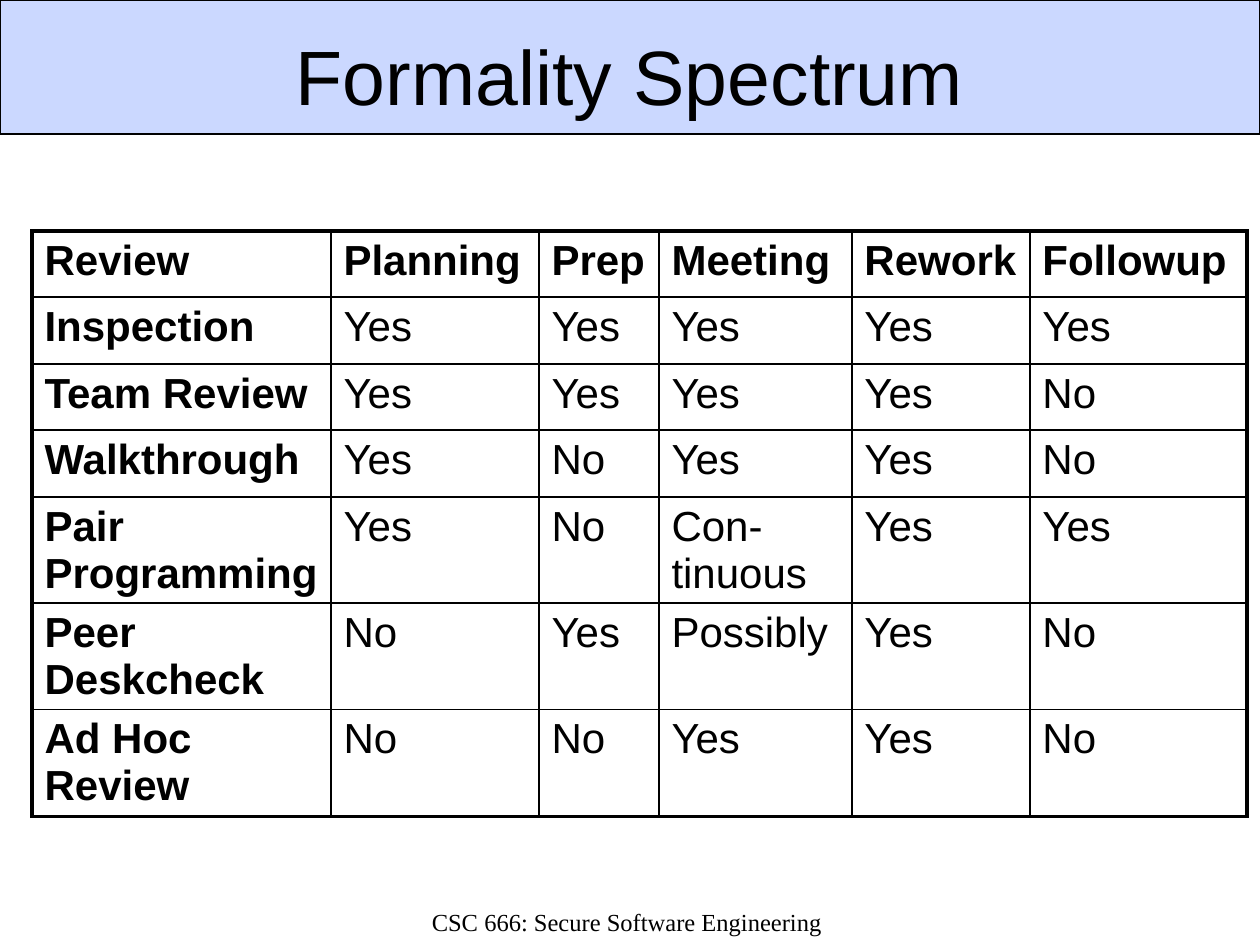
"""Builds the Formality Spectrum slide, a table comparing kinds of code review."""
from lxml.etree import SubElement
from pptx import Presentation
from pptx.dml.color import RGBColor
from pptx.enum.shapes import MSO_SHAPE as Preset
from pptx.enum.text import MSO_ANCHOR as Anchor, PP_ALIGN as Align
from pptx.oxml.ns import qn
from pptx.util import Emu, Inches, Pt

COLORS = {"ink": "000000", "band": "3366FF"}
PX = Inches(1) // 126


class Deck:
    """Holds the style and the current slide."""

    def __init__(self):
        self.show = Presentation()
        self.show.slide_width, self.show.slide_height = Inches(10), Inches(7.5)
        self.slide = self.show.slides.add_slide(self.show.slide_layouts[5])

    def box(self, *lengths):
        return [Emu(length * PX) for length in lengths]

    def style(self, paragraph, size, face="Arial", bold=False, align=Align.LEFT):
        paragraph.alignment = align
        font = paragraph.font
        font.name, font.size, font.bold = face, Pt(size), bold
        font.color.rgb = RGBColor.from_string(COLORS["ink"])

    def band(self, at, opacity):
        band = self.slide.shapes.add_shape(Preset.RECTANGLE, *self.box(*at))
        band.shadow.inherit = False
        band.fill.solid()
        band.fill.fore_color.rgb = RGBColor.from_string(COLORS["band"])
        tint = band.fill._xPr.find(qn("a:solidFill"))[0]
        SubElement(tint, qn("a:alpha"), val=str(opacity * 1000))
        band.line.color.rgb = RGBColor.from_string(COLORS["ink"])
        band.line.width = Pt(0.75)
        self.slide.shapes._spTree.insert(2, band._element)

    def title(self, at, words):
        title = self.slide.shapes.title
        title.left, title.top, title.width, title.height = self.box(*at)
        title.text_frame.text = words
        title.text_frame.vertical_anchor = Anchor.MIDDLE
        self.style(title.text_frame.paragraphs[0], 44, align=Align.CENTER)

    def footer(self, at, words):
        frame = self.slide.shapes.add_textbox(*self.box(*at)).text_frame
        frame.word_wrap = True
        frame.text = words
        self.style(frame.paragraphs[0], 14, "Times New Roman", align=Align.CENTER)

    def border(self, cell, side, width):
        line = SubElement(cell._tc.get_or_add_tcPr(), qn(f"a:ln{side}"), w=str(Pt(width)))
        SubElement(SubElement(line, qn("a:solidFill")), qn("a:srgbClr"), val=COLORS["ink"])

    def table(self, left, top, widths, heights, rows):
        at = self.box(left, top, sum(widths), sum(heights))
        grid = self.slide.shapes.add_table(len(rows), len(widths), *at).table
        grid.first_row = grid.horz_banding = False
        for column, width in zip(grid.columns, widths):
            column.width = Emu(width * PX)
        for row, height in zip(grid.rows, heights):
            row.height = Emu(height * PX)
        last_row, last_column = len(rows) - 1, len(widths) - 1
        for r, row in enumerate(rows):
            for c, words in enumerate(row):
                cell = grid.cell(r, c)
                cell.text = words
                self.style(cell.text_frame.paragraphs[0], 24, bold=r == 0 or c == 0)
                outer = {"L": c == 0, "R": c == last_column, "T": r == 0, "B": r == last_row}
                for side, is_outer in outer.items():
                    self.border(cell, side, 2.25 if is_outer else 1)
                cell.fill.background()


REVIEWS = [
    ("Review", "Planning", "Prep", "Meeting", "Rework", "Followup"),
    ("Inspection", "Yes", "Yes", "Yes", "Yes", "Yes"),
    ("Team Review", "Yes", "Yes", "Yes", "Yes", "No"),
    ("Walkthrough", "Yes", "No", "Yes", "Yes", "No"),
    ("Pair Programming", "Yes", "No", "Con-tinuous", "Yes", "Yes"),
    ("Peer Deskcheck", "No", "Yes", "Possibly", "Yes", "No"),
    ("Ad Hoc Review", "No", "No", "Yes", "Yes", "No"),
]

deck = Deck()
deck.band((0, 0, 1260, 134), opacity=25)
deck.title((63, 21, 1134, 108), "Formality Spectrum")
deck.table(32, 231, (299, 208, 120, 193, 178, 217), (66, 67, 66, 67, 106, 106, 107), REVIEWS)
deck.footer((203, 901, 848, 44), "CSC 666: Secure Software Engineering")
deck.show.save("out.pptx")
